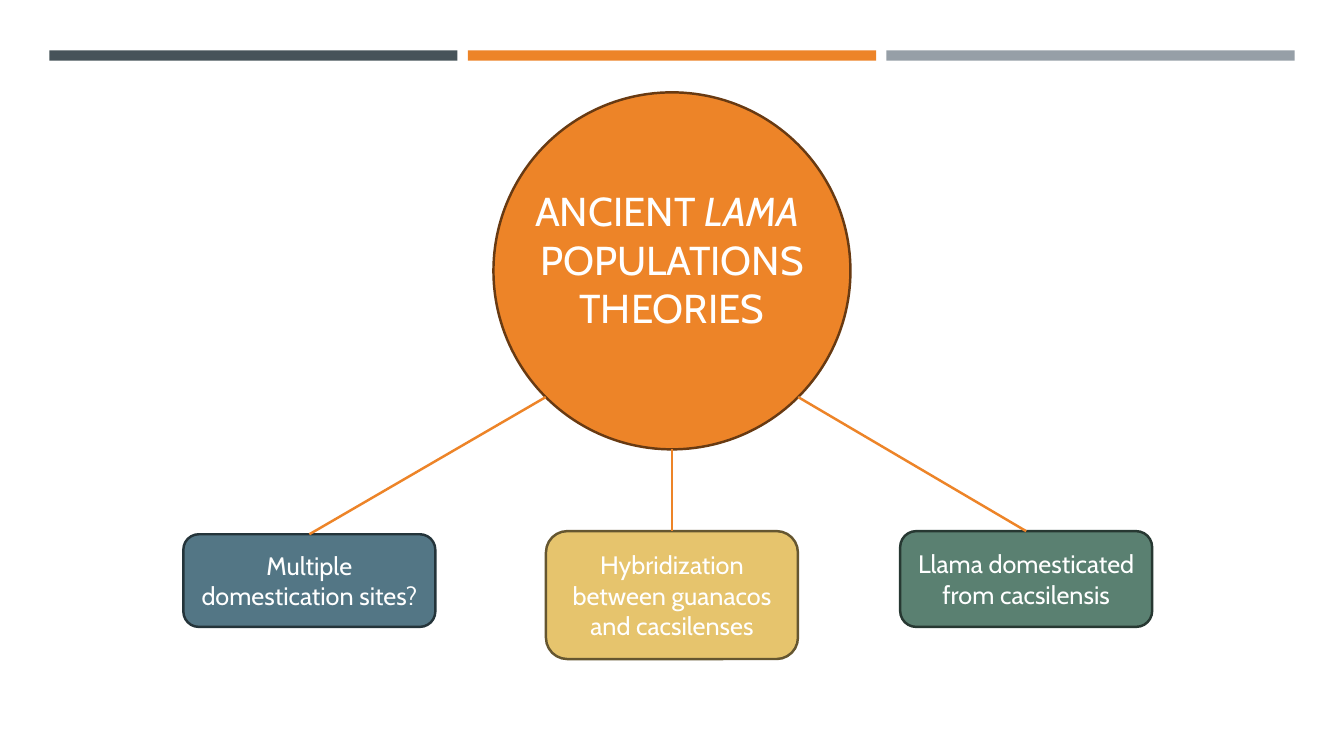
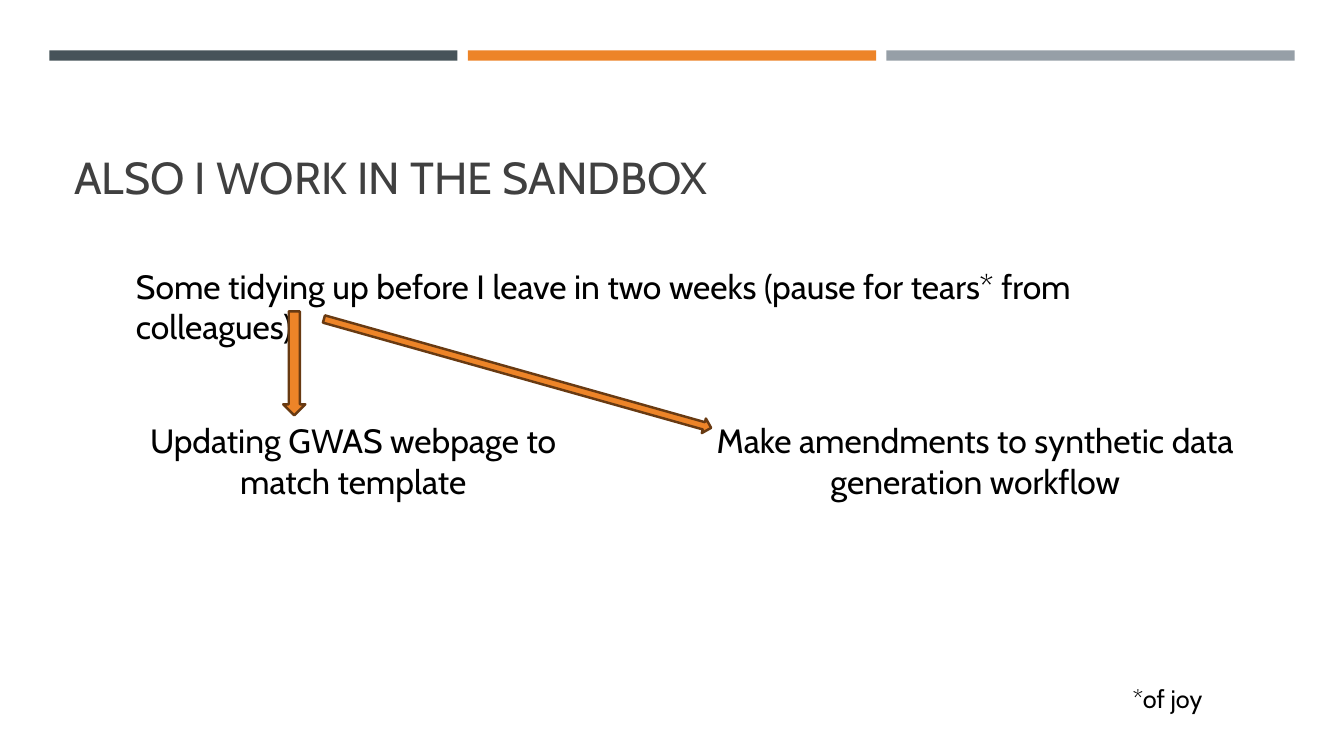
import math
from dataclasses import dataclass
from typing import Any

import pptx
import pptx.dml.color
import pptx.enum.shapes
import pptx.enum.text
import pptx.util
from lxml import etree

Pt = pptx.util.Pt
RGB = pptx.dml.color.RGBColor
SHAPE = pptx.enum.shapes.MSO_SHAPE
ALIGN = pptx.enum.text.PP_ALIGN
ANCHOR = pptx.enum.text.MSO_ANCHOR

COLORS = {
    "slate": "465359", "orange": "ED8428", "grey": "969FA7", "brown": "683A12",
    "blue": "537685", "navy": "24343A", "green": "5A8071", "forest": "273832",
    "gold": "E6C46D", "olive": "655630",
    "white": "FFFFFF", "title": "404040", "black": "000000",
}
FONT = "Cabin"
LINE_WIDTH = 1.75
DRAWING_NS = "http://schemas.openxmlformats.org/drawingml/2006/main"

# Bands across the top of every slide
BAND_COLORS = ("slate", "orange", "grey")
BAND_LEFT, BAND_TOP, BAND_WIDTH, BAND_HEIGHT, BAND_STEP = 35.2, 36, 291.6, 7.4, 299

# Circle in the middle of slide 1
CENTER_X, CENTER_Y, RADIUS = 480, 193.5, 127.5


@dataclass(frozen=True)
class Box:
    left: float
    top: float
    width: float
    height: float


@dataclass(frozen=True)
class Theory:
    text: str
    box: Box
    fill: str
    line: str
    angle: float  # where its line leaves the circle, clockwise from the right


@dataclass(frozen=True)
class Label:
    text: str
    box: Box
    size: float
    align: Any = ALIGN.LEFT
    wrap: bool = True


@dataclass(frozen=True)
class Arrow:
    box: Box
    rotation: float = 0


THEORIES = (
    Theory("Multiple domestication sites?",
           Box(131, 381.6, 180, 66.2), "blue", "navy", 135),
    Theory("Hybridization between guanacos and cacsilenses",
           Box(390, 379.4, 180, 91.4), "gold", "olive", 90),
    Theory("Llama domesticated from cacsilensis",
           Box(643, 379.4, 180, 68.4), "green", "forest", 45),
)
LABELS = (
    Label("Some tidying up before I leave in two weeks (pause for tears* from colleagues)",
          Box(90, 186.5, 780, 36), 24),
    Label("*of joy", Box(802, 484.6, 65, 29), 18, wrap=False),
    Label("Updating GWAS webpage to match template",
          Box(80.6, 296.6, 343.4, 65.5), 24, ALIGN.CENTER),
    Label("Make amendments to synthetic data generation workflow",
          Box(478.8, 296.6, 435.6, 65.5), 24, ALIGN.CENTER),
)
ARROWS = (
    Arrow(Box(202.3, 222.5, 15.8, 74.2)),
    Arrow(Box(364.3, 123.1, 10.8, 287.3), 285.7),
)


def set_all(target: Any, values: dict[str, Any]) -> None:
    for name, value in values.items():
        setattr(target, name, value)


def rgb(name: str) -> RGB:
    return RGB.from_string(COLORS[name])


def place(box: Box) -> tuple[int, ...]:
    return tuple(Pt(v) for v in (box.left, box.top, box.width, box.height))


def add_run(p: Any, text: str, size: float, color: str, italic: bool = False) -> None:
    r = p.add_run()
    r.text = text
    set_all(r.font, {"name": FONT, "size": Pt(size), "italic": italic})
    r.font.color.rgb = rgb(color)


def add_shape(s: Any, kind: Any, box: Box, fill: str, line: str | None = None) -> Any:
    sp = s.shapes.add_shape(kind, *place(box))
    sp.shadow.inherit = False
    sp.fill.solid()
    sp.fill.fore_color.rgb = rgb(fill)
    if line is None:
        sp.line.fill.background()
    else:
        sp.line.color.rgb = rgb(line)
        sp.line.width = Pt(LINE_WIDTH)
    return sp


def add_text(s: Any, box: Box, align: Any = ALIGN.LEFT, anchor: Any = ANCHOR.TOP,
             wrap: bool = True) -> Any:
    """Add a text box and return its first paragraph."""
    tf = s.shapes.add_textbox(*place(box)).text_frame
    set_all(tf, {"word_wrap": wrap, "vertical_anchor": anchor})
    p = tf.paragraphs[0]
    p.alignment = align
    return p


def add_theory(s: Any, theory: Theory) -> None:
    sp = add_shape(s, SHAPE.ROUNDED_RECTANGLE, theory.box, theory.fill, theory.line)
    set_all(sp.text_frame, {"word_wrap": True, "vertical_anchor": ANCHOR.MIDDLE})
    p = sp.text_frame.paragraphs[0]
    p.alignment = ALIGN.CENTER
    add_run(p, theory.text, 18, "white")

    # Line from the circle's edge to the middle of the box's top
    angle = math.radians(theory.angle)
    x = Pt(CENTER_X + RADIUS * math.cos(angle))
    y = Pt(CENTER_Y + RADIUS * math.sin(angle))
    line = s.shapes.add_connector(pptx.enum.shapes.MSO_CONNECTOR.STRAIGHT, x, y, x, y)
    line.end_connect(sp, 0)
    line.line.color.rgb = rgb("orange")
    line.line.width = Pt(LINE_WIDTH)
    etree.SubElement(line._element.spPr, f"{{{DRAWING_NS}}}effectLst")


def new_slide(prs: Any) -> Any:
    s = prs.slides.add_slide(prs.slide_layouts[6])
    for i, color in enumerate(BAND_COLORS):
        band = Box(BAND_LEFT + i * BAND_STEP, BAND_TOP, BAND_WIDTH, BAND_HEIGHT)
        add_shape(s, SHAPE.RECTANGLE, band, color)
    return s


def theories_slide(prs: Any) -> None:
    s = new_slide(prs)
    circle = Box(CENTER_X - RADIUS, CENTER_Y - RADIUS, 2 * RADIUS, 2 * RADIUS)
    add_shape(s, SHAPE.OVAL, circle, "orange", "brown")
    p = add_text(s, Box(368.8, 146.9, 222.4, 93.6), ALIGN.CENTER, ANCHOR.BOTTOM)
    add_run(p, "ANCIENT ", 28.8, "white")
    add_run(p, "LAMA ", 28.8, "white", italic=True)
    p.add_line_break()
    add_run(p, "POPULATIONS THEORIES", 28.8, "white")
    for theory in THEORIES:
        add_theory(s, theory)


def sandbox_slide(prs: Any) -> None:
    s = new_slide(prs)
    p = add_text(s, Box(46, 55.4, 868.3, 93.6), anchor=ANCHOR.BOTTOM)
    add_run(p, "ALSO I WORK IN THE SANDBOX", 32, "title")
    for label in LABELS:
        p = add_text(s, label.box, label.align, wrap=label.wrap)
        add_run(p, label.text, label.size, "black")
    for arrow in ARROWS:
        sp = add_shape(s, SHAPE.DOWN_ARROW, arrow.box, "orange", "brown")
        sp.rotation = arrow.rotation


def main() -> None:
    prs = pptx.Presentation()
    set_all(prs, {"slide_width": Pt(960), "slide_height": Pt(540)})
    theories_slide(prs)
    sandbox_slide(prs)
    prs.save("out.pptx")


if __name__ == "__main__":
    main()
